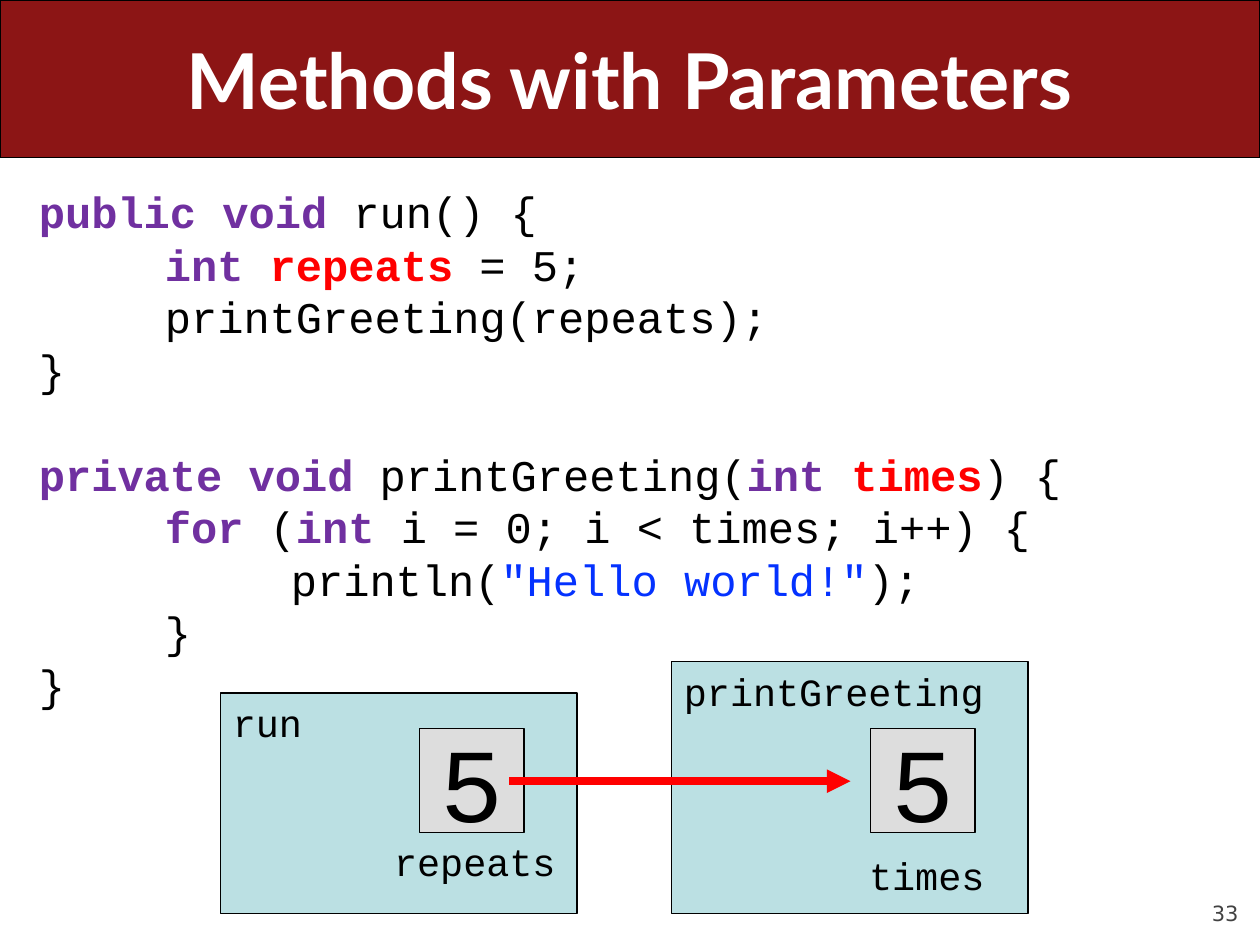
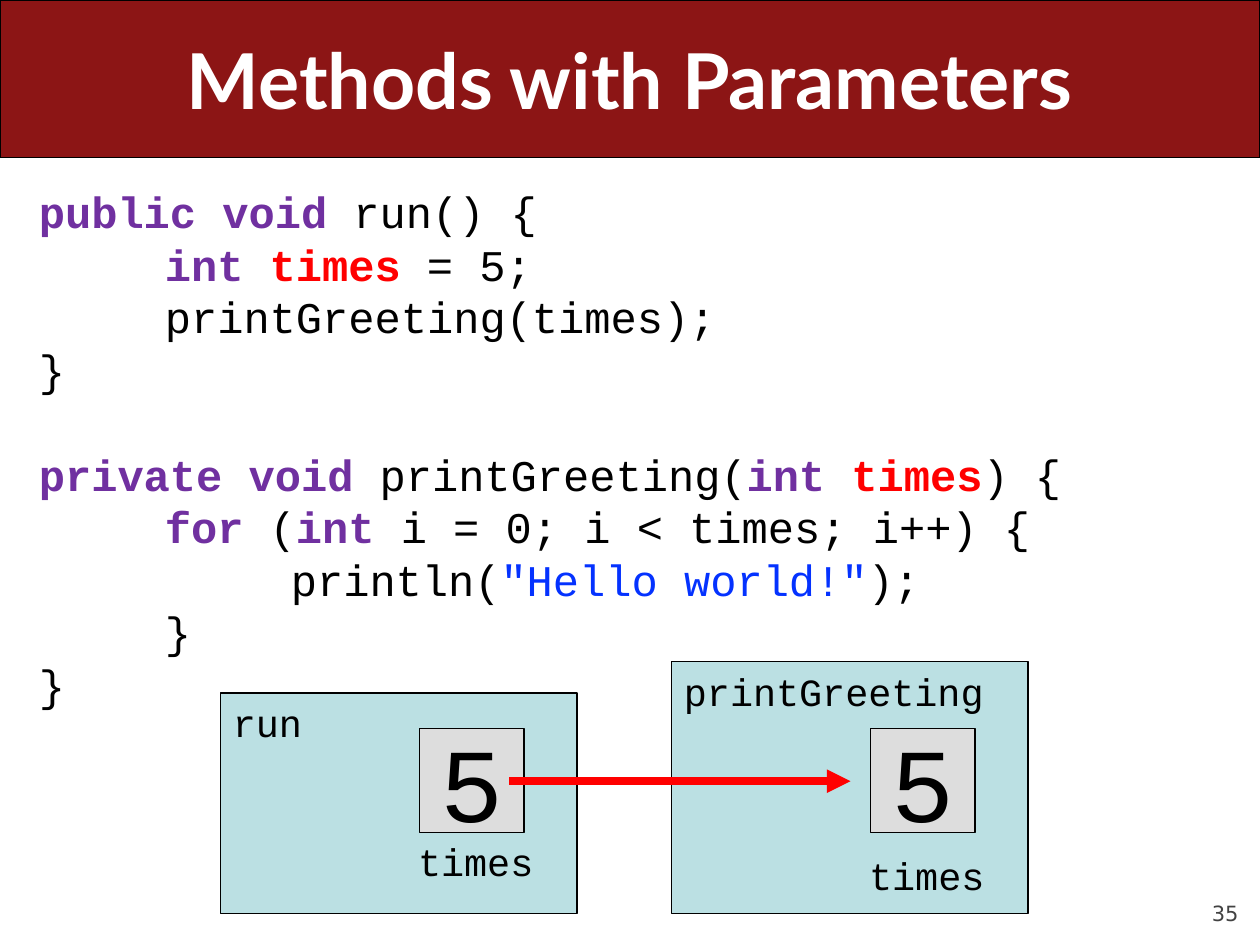
from dataclasses import dataclass

from lxml import etree
from pptx import Presentation
from pptx.dml.color import RGBColor
from pptx.enum.shapes import MSO_CONNECTOR, MSO_SHAPE
from pptx.enum.text import MSO_ANCHOR, PP_ALIGN
from pptx.oxml.ns import qn
from pptx.util import Inches, Pt


@dataclass(frozen=True)
class Theme:
    band: str = "8C1515"
    white: str = "FFFFFF"
    black: str = "000000"
    keyword: str = "7030A0"
    accent: str = "FF0000"
    literal: str = "0432FF"
    frame: str = "BBE0E3"
    value: str = "DDDDDD"
    number: str = "424242"
    title_font: str = "Lato"
    code_font: str = "Courier New"
    number_font: str = "DejaVu Sans"
    title_size: int = 44
    code_size: int = 25
    label_size: int = 22
    value_size: int = 60
    number_size: int = 12
    outline: float = 0.75
    arrow_width: float = 4.5
    line_height: float = 1.2


THEME = Theme()
CODE_STYLES = {
    "plain": {"color": THEME.black, "bold": False},
    "keyword": {"color": THEME.keyword, "bold": True},
    "variable": {"color": THEME.accent, "bold": True},
    "literal": {"color": THEME.literal, "bold": False},
}


def add_run(paragraph, text, font, size, color, bold=False):
    run = paragraph.add_run()
    run.text = text
    formats = {"name": font, "size": Pt(size), "bold": bold}
    for attribute, setting in formats.items():
        setattr(run.font, attribute, setting)
    run.font.color.rgb = RGBColor.from_string(color)


def format_code_line(paragraph, size, indent=0, blank_lines=0, align=PP_ALIGN.LEFT):
    pitch = size * THEME.line_height
    formats = {
        "alignment": align,
        "line_spacing": Pt(pitch),
        "space_before": Pt(pitch * blank_lines),
    }
    for attribute, setting in formats.items():
        setattr(paragraph, attribute, setting)
    if indent:
        properties = paragraph._p.get_or_add_pPr()
        properties.set("marL", str(Inches(indent)))
        properties.set("indent", "0")


def add_text_area(slide, left, top, width, height, **formats):
    area = slide.shapes.add_textbox(
        Inches(left), Inches(top), Inches(width), Inches(height)
    ).text_frame
    for attribute, setting in {"word_wrap": True, **formats}.items():
        setattr(area, attribute, setting)
    return area


def add_box(slide, preset, left, top, width, height, fill):
    box = slide.shapes.add_shape(
        preset, Inches(left), Inches(top), Inches(width), Inches(height)
    )
    box.shadow.inherit = False
    box.fill.solid()
    box.fill.fore_color.rgb = RGBColor.from_string(fill)
    box.line.color.rgb = RGBColor.from_string(THEME.black)
    box.line.width = Pt(THEME.outline)
    return box


def add_page_frame(slide, title, number):
    footer = add_text_area(
        slide, 9, 6.95, 0.83, 0.4, vertical_anchor=MSO_ANCHOR.BOTTOM,
        margin_left=0, margin_top=0, margin_right=0, margin_bottom=0,
    ).paragraphs[0]
    footer.alignment = PP_ALIGN.RIGHT
    add_run(footer, str(number), THEME.number_font, THEME.number_size, THEME.number)

    band = add_box(slide, MSO_SHAPE.ROUNDED_RECTANGLE, 0, 0, 10, 1.25, THEME.band)
    band.adjustments[0] = 0

    heading = add_text_area(
        slide, 0.5, 0, 9, 1.25, vertical_anchor=MSO_ANCHOR.MIDDLE
    ).paragraphs[0]
    heading.alignment = PP_ALIGN.CENTER
    add_run(heading, title, THEME.title_font, THEME.title_size, THEME.white, True)


def code_listing(variable):
    return [
        (0, 0, [("keyword", "public void "), ("plain", "run() {")]),
        (1, 0, [("keyword", "int "), ("variable", variable), ("plain", " = 5;")]),
        (1, 0, [("plain", f"printGreeting({variable});")]),
        (0, 0, [("plain", "}")]),
        (0, 1, [("keyword", "private void "), ("plain", "printGreeting("),
                ("keyword", "int "), ("variable", "times"), ("plain", ") {")]),
        (1, 0, [("keyword", "for "), ("plain", "("), ("keyword", "int "),
                ("plain", "i = 0; i < times; i++) {")]),
        (2, 0, [("plain", "println("), ("literal", '"Hello world!"'), ("plain", ");")]),
        (1, 0, [("plain", "}")]),
        (0, 0, [("plain", "}")]),
    ]


def add_code(slide, listing):
    area = add_text_area(slide, 0.21, 1.42, 9.58, 4.31)
    for index, (depth, blank_lines, tokens) in enumerate(listing):
        line = area.add_paragraph() if index else area.paragraphs[0]
        format_code_line(line, THEME.code_size, depth, blank_lines)
        for style, text in tokens:
            add_run(line, text, THEME.code_font, THEME.code_size, **CODE_STYLES[style])


def add_stack_frame(slide, left, top, method, variable, indent, blank_lines):
    bottom = 7.25
    frame = add_box(
        slide, MSO_SHAPE.RECTANGLE, left, top, 2.83, bottom - top, THEME.frame
    ).text_frame
    frame.vertical_anchor = MSO_ANCHOR.TOP
    name_line, variable_line = frame.paragraphs[0], frame.add_paragraph()
    format_code_line(name_line, THEME.label_size)
    format_code_line(variable_line, THEME.label_size, indent, blank_lines)
    for line, text in ((name_line, method), (variable_line, variable)):
        add_run(line, text, THEME.code_font, THEME.label_size, THEME.black)

    value = add_box(
        slide, MSO_SHAPE.RECTANGLE, left + 1.58, 5.78, 0.83, 0.83, THEME.value
    ).text_frame
    value.vertical_anchor = MSO_ANCHOR.MIDDLE
    digit = value.paragraphs[0]
    format_code_line(digit, THEME.value_size, align=PP_ALIGN.CENTER)
    add_run(digit, "5", THEME.code_font, THEME.value_size, THEME.black)


def add_copy_arrow(slide):
    arrow = slide.shapes.add_connector(
        MSO_CONNECTOR.STRAIGHT, Inches(4.04), Inches(6.2), Inches(6.75), Inches(6.2)
    )
    arrow.line.color.rgb = RGBColor.from_string(THEME.accent)
    arrow.line.width = Pt(THEME.arrow_width)
    etree.SubElement(arrow.line._get_or_add_ln(), qn("a:tailEnd"), type="triangle")
    etree.SubElement(arrow._element.spPr, qn("a:effectLst"))


def add_parameter_slide(deck, number, variable, variable_indent):
    slide = deck.slides.add_slide(deck.slide_layouts[6])
    add_page_frame(slide, "Methods with Parameters", number)
    add_code(slide, code_listing(variable))
    add_stack_frame(slide, 1.75, 5.5, "run", variable, variable_indent, 2)
    add_stack_frame(slide, 5.33, 5.25, "printGreeting", "times", 1.47, 3)
    add_copy_arrow(slide)


def main():
    deck = Presentation()
    deck.slide_width, deck.slide_height = Inches(10), Inches(7.5)
    add_parameter_slide(deck, 33, "repeats", 1.28)
    add_parameter_slide(deck, 35, "times", 1.47)
    deck.save("out.pptx")


if __name__ == "__main__":
    main()
